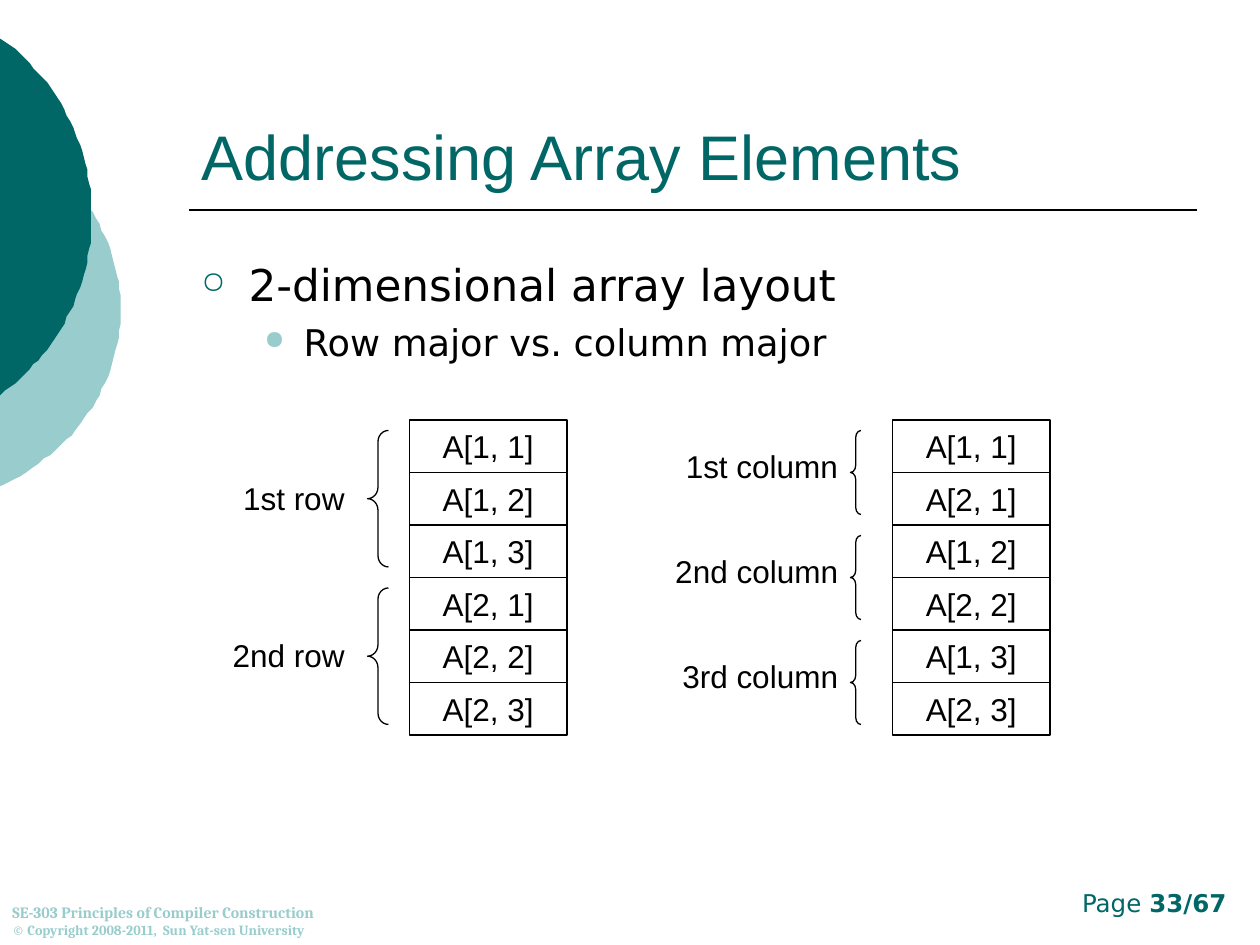
import pptx
import pptx.util
import pptx.dml.color
import pptx.enum.shapes
import pptx.enum.text
import pptx.oxml
import pptx.oxml.ns

Pt = pptx.util.Pt
RGB = pptx.dml.color.RGBColor
SHAPE = pptx.enum.shapes.MSO_SHAPE
ALIGN = pptx.enum.text.PP_ALIGN
ANCHOR = pptx.enum.text.MSO_ANCHOR
SIZE = pptx.enum.text.MSO_AUTO_SIZE

TEAL = RGB(0x00, 0x66, 0x66)
PALE = RGB(0x99, 0xCC, 0xCC)
BLACK = RGB(0, 0, 0)

# Content
TITLE = "Addressing Array Elements"
# text, size, bullet, bullet colour, left margin, hanging indent, space before
BODY = [
    ("2-dimensional array layout", 25, "○", TEAL, 27, 27, 0),
    ("Row major vs. column major", 21, "●", PALE, 58.5, 22.5, 5),
]
LAYOUTS = [
    dict(cells=["A[1, 1]", "A[1, 2]", "A[1, 3]", "A[2, 1]", "A[2, 2]", "A[2, 3]"],
         labels=["1st row", "2nd row"],
         left=234, brace=210, thick=12, bend=0.54, right=204, drop=24),
    dict(cells=["A[1, 1]", "A[2, 1]", "A[1, 2]", "A[2, 2]", "A[1, 3]", "A[2, 3]"],
         labels=["1st column", "2nd column", "3rd column"],
         left=510, brace=486, thick=6, bend=0.67, right=486, drop=6),
]
FOOTER = [("SE-303 Principles of Compiler Construction", 9),
          ("© Copyright 2008-2011,  Sun Yat-sen University", 8)]
# colour, top at the slide edge, two control points, rightmost point
DISCS = [
    (PALE, (0, 76.3), (42.5, 96), (69.1, 134.6), (69.1, 177.1)),
    (TEAL, (0, 21.6), (32.4, 44.6), (52.5, 82.8), (52.5, 123.6)),
]

# Formats
CELL = dict(name="Arial", size=Pt(18))
MAIN = dict(name="DejaVu Sans")
HEAD = dict(name="Arial", size=Pt(36))
PAGE = dict(name="DejaVu Sans", size=Pt(14))
FOOT = dict(name="Cambria", bold=True)

TOP, ROW, WIDE, GAP = 240, 30, 90, 6

deck = pptx.Presentation()
deck.slide_width, deck.slide_height = Pt(720), Pt(540)
slide = deck.slides.add_slide(deck.slide_layouts[5])
shapes = slide.shapes


def style(font, look, color=BLACK):
    for key, value in look.items():
        setattr(font, key, value)
    font.color.rgb = color


def place(kind, *box):
    item = shapes.add_shape(kind, *map(Pt, box))
    item.shadow.inherit = False
    item.fill.background()
    item.line.color.rgb = BLACK
    item.line.width = Pt(0.75)
    return item


def text(*box):
    frame = shapes.add_textbox(*map(Pt, box)).text_frame
    frame.word_wrap = True
    return frame


def write(para, words, look, color=BLACK, align=ALIGN.LEFT):
    para.alignment = align
    run = para.add_run()
    run.text = words
    style(run.font, look, color)
    return run


def bullet(para, mark, color, left, hang):
    props = para._p.get_or_add_pPr()
    props.set("marL", str(Pt(left)))
    props.set("indent", str(-Pt(hang)))
    space = pptx.oxml.ns.nsdecls("a")
    for xml in (f'<a:buClr {space}><a:srgbClr val="{color}"/></a:buClr>',
                f'<a:buSzPct {space} val="70000"/>',
                f'<a:buChar {space} char="{mark}"/>'):
        props.append(pptx.oxml.parse_xml(xml))


def curve(points, steps=32):
    for i in range(steps + 1):
        t = i / steps
        parts = ((1 - t) ** 3, 3 * t * (1 - t) ** 2, 3 * t * t * (1 - t), t ** 3)
        yield tuple(sum(w * p[k] for w, p in zip(parts, points)) for k in (0, 1))


# Discs cut by the slide's left edge; the lower half mirrors the upper
for color, *points in DISCS:
    upper = list(curve(points))
    middle = points[-1][1]
    lower = [(x, 2 * middle - y) for x, y in reversed(upper[:-1])]
    path = shapes.build_freeform(*upper[0], scale=Pt(1))
    path.add_line_segments(upper[1:] + lower, close=True)
    disc = path.convert_to_shape()
    disc.shadow.inherit = False
    disc.fill.solid()
    disc.fill.fore_color.rgb = color
    disc.line.fill.background()

# Title and its rule
title = shapes.title
title.left, title.top, title.width, title.height = map(Pt, (108, 24, 576, 90))
frame = title.text_frame
frame.auto_size = SIZE.NONE
frame.vertical_anchor = ANCHOR.BOTTOM
write(frame.paragraphs[0], TITLE, HEAD, TEAL)
rule = shapes.add_connector(pptx.enum.shapes.MSO_CONNECTOR.STRAIGHT,
                            *map(Pt, (108, 120, 684, 120)))
rule.line.color.rgb = BLACK
rule.line.width = Pt(1)
rule._element.spPr.append(
    pptx.oxml.parse_xml(f'<a:effectLst {pptx.oxml.ns.nsdecls("a")}/>'))

# Bulleted text
frame = text(108, 144, 576, 90)
for i, (words, size, mark, color, left, hang, space) in enumerate(BODY):
    para = frame.add_paragraph() if i else frame.paragraphs[0]
    para.level = i
    para.space_before = Pt(space)
    bullet(para, mark, color, left, hang)
    write(para, words, dict(MAIN, size=Pt(size)))

# Memory layouts: stacked cells, grouped by labelled braces
for plan in LAYOUTS:
    for i, words in enumerate(plan["cells"]):
        frame = place(SHAPE.RECTANGLE, plan["left"], TOP + i * ROW, WIDE, ROW).text_frame
        frame.word_wrap = False
        frame.vertical_anchor = ANCHOR.MIDDLE
        write(frame.paragraphs[0], words, CELL, align=ALIGN.CENTER)
    span = ROW * len(plan["cells"]) / len(plan["labels"])
    for i, words in enumerate(plan["labels"]):
        y = TOP + i * span + GAP
        brace = place(SHAPE.LEFT_BRACE, plan["brace"], y, plan["thick"], span - 2 * GAP)
        brace.adjustments[0] = plan["bend"]
        frame = text(plan["right"] - 114, y + plan["drop"], 114, 29)
        write(frame.paragraphs[0], words, CELL, align=ALIGN.RIGHT)

# Page number and footer
para = text(546, 504, 162, 24).paragraphs[0]
write(para, "Page ", PAGE, TEAL, ALIGN.RIGHT)
write(para, "33/67", dict(PAGE, bold=True), TEAL, ALIGN.RIGHT)
frame = text(0, 504, 246, 36)
frame.vertical_anchor = ANCHOR.BOTTOM
for i, (words, size) in enumerate(FOOTER):
    para = frame.add_paragraph() if i else frame.paragraphs[0]
    write(para, words, dict(FOOT, size=Pt(size)), PALE)

deck.save("out.pptx")
